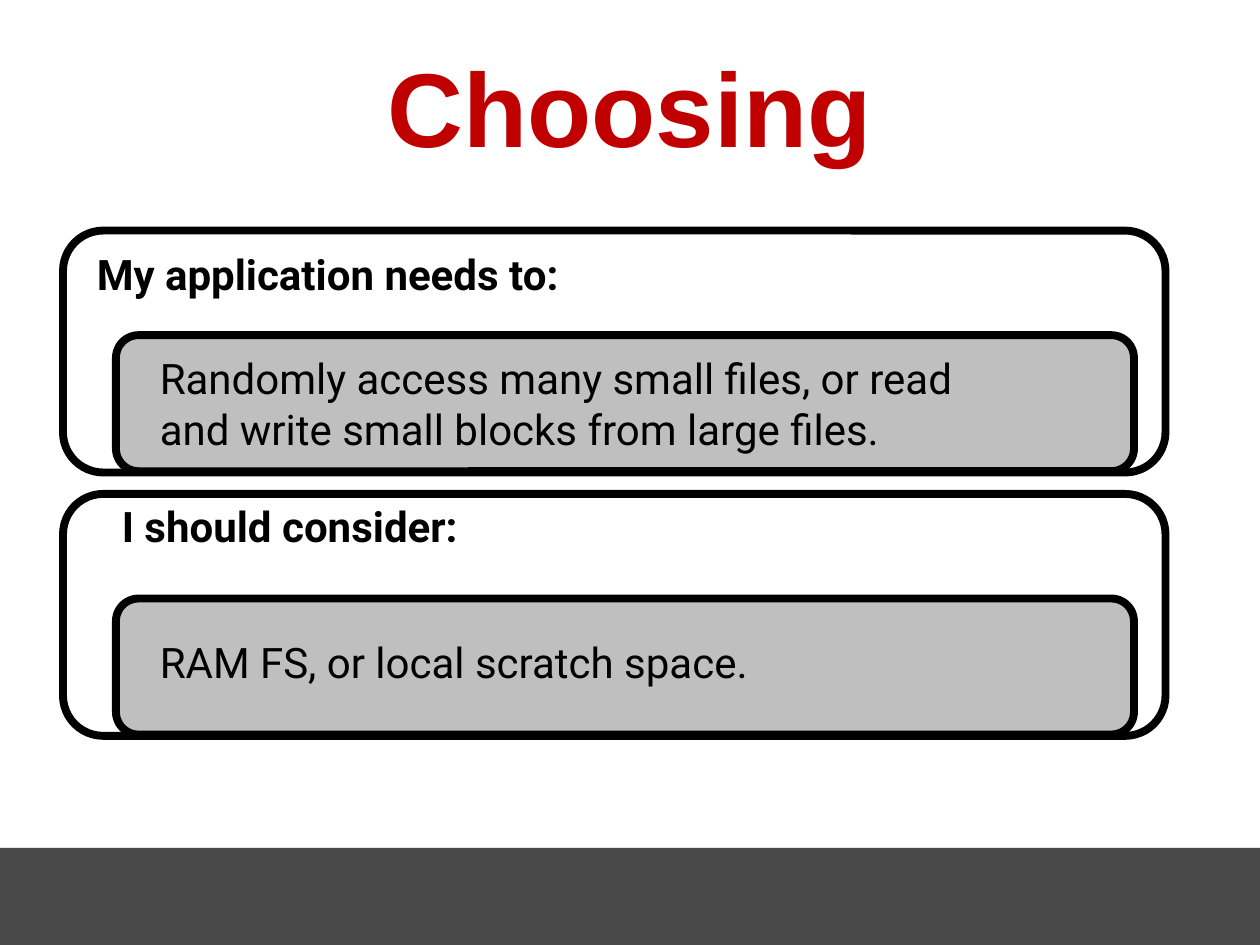
from pptx import Presentation
from pptx.dml.color import RGBColor
from pptx.enum.shapes import MSO_SHAPE
from pptx.enum.text import MSO_ANCHOR, MSO_AUTO_SIZE, PP_ALIGN
from pptx.util import Inches, Pt

COLORS = {"title": "C00000", "text": "000000", "outline": "000000",
          "panel": "FFFFFF", "answer": "BFBFBF", "footer": "484848"}

TITLE = "Choosing"
SECTIONS = [
    {"top": 1.83,
     "heading": ("My application needs to:", (0.67, 1.92, 4.13, 0.5), PP_ALIGN.LEFT),
     "answer": ("Randomly access many small files, or read and write small blocks from large files.",
                (1.17, 2.75, 6.75, 0.91), MSO_ANCHOR.TOP)},
    {"top": 3.92,
     "heading": ("I should consider:", (0.75, 3.92, 3.1, 0.5), PP_ALIGN.CENTER),
     "answer": ("RAM FS, or local scratch space.",
                (1.17, 5, 6.83, 0.5), MSO_ANCHOR.MIDDLE)},
]
ANSWER_OFFSET = 0.83


def color(name):
    return RGBColor.from_string(COLORS[name])


def apply(target, values):
    for name, value in values.items():
        setattr(target, name, value)


def add_block(page, kind, area, fill, outlined=True):
    block = page.shapes.add_shape(kind, *map(Inches, area))
    block.shadow.inherit = False
    block.fill.solid()
    block.fill.fore_color.rgb = color(fill)
    if outlined:
        block.line.color.rgb = color("outline")
        block.line.width = Pt(4.5)
    else:
        block.line.fill.background()


def write(frame, text, ink, font, paragraph, body):
    apply(frame, body)
    para = frame.paragraphs[0]
    apply(para, paragraph)
    span = para.add_run()
    span.text = text
    apply(span.font, font)
    span.font.color.rgb = color(ink)


def add_text(page, text, area, bold=False, align=PP_ALIGN.LEFT,
             anchor=MSO_ANCHOR.TOP, wrap=True):
    box = page.shapes.add_textbox(*map(Inches, area))
    write(box.text_frame, text, "text",
          {"name": "Roboto", "size": Pt(24), "bold": bold},
          {"alignment": align},
          {"word_wrap": wrap, "vertical_anchor": anchor,
           "auto_size": MSO_AUTO_SIZE.SHAPE_TO_FIT_TEXT})


def main():
    """Build the slide on choosing a file system."""
    deck = Presentation()
    apply(deck, {"slide_width": Inches(10), "slide_height": Inches(7.5)})
    page = deck.slides.add_slide(deck.slide_layouts[5])

    add_block(page, MSO_SHAPE.RECTANGLE, (0, 6.73, 10, 0.77), "footer", outlined=False)
    for section in SECTIONS:
        top = section["top"]
        add_block(page, MSO_SHAPE.ROUNDED_RECTANGLE, (0.5, top, 8.75, 1.92), "panel")
        add_block(page, MSO_SHAPE.ROUNDED_RECTANGLE,
                  (0.92, top + ANSWER_OFFSET, 8.08, 1.08), "answer")
        text, area, align = section["heading"]
        add_text(page, text, area, bold=True, align=align, wrap=False)
        text, area, anchor = section["answer"]
        add_text(page, text, area, anchor=anchor)

    title = page.shapes.title
    apply(title, {"left": Inches(0.75), "top": Inches(0.33),
                  "width": Inches(8.5), "height": Inches(1.08)})
    write(title.text_frame, TITLE, "title",
          {"name": "Arial", "size": Pt(60), "bold": True},
          {"alignment": PP_ALIGN.CENTER, "line_spacing": 0.95},
          {"word_wrap": True, "vertical_anchor": MSO_ANCHOR.BOTTOM,
           "auto_size": MSO_AUTO_SIZE.NONE})
    deck.save("out.pptx")


if __name__ == "__main__":
    main()
